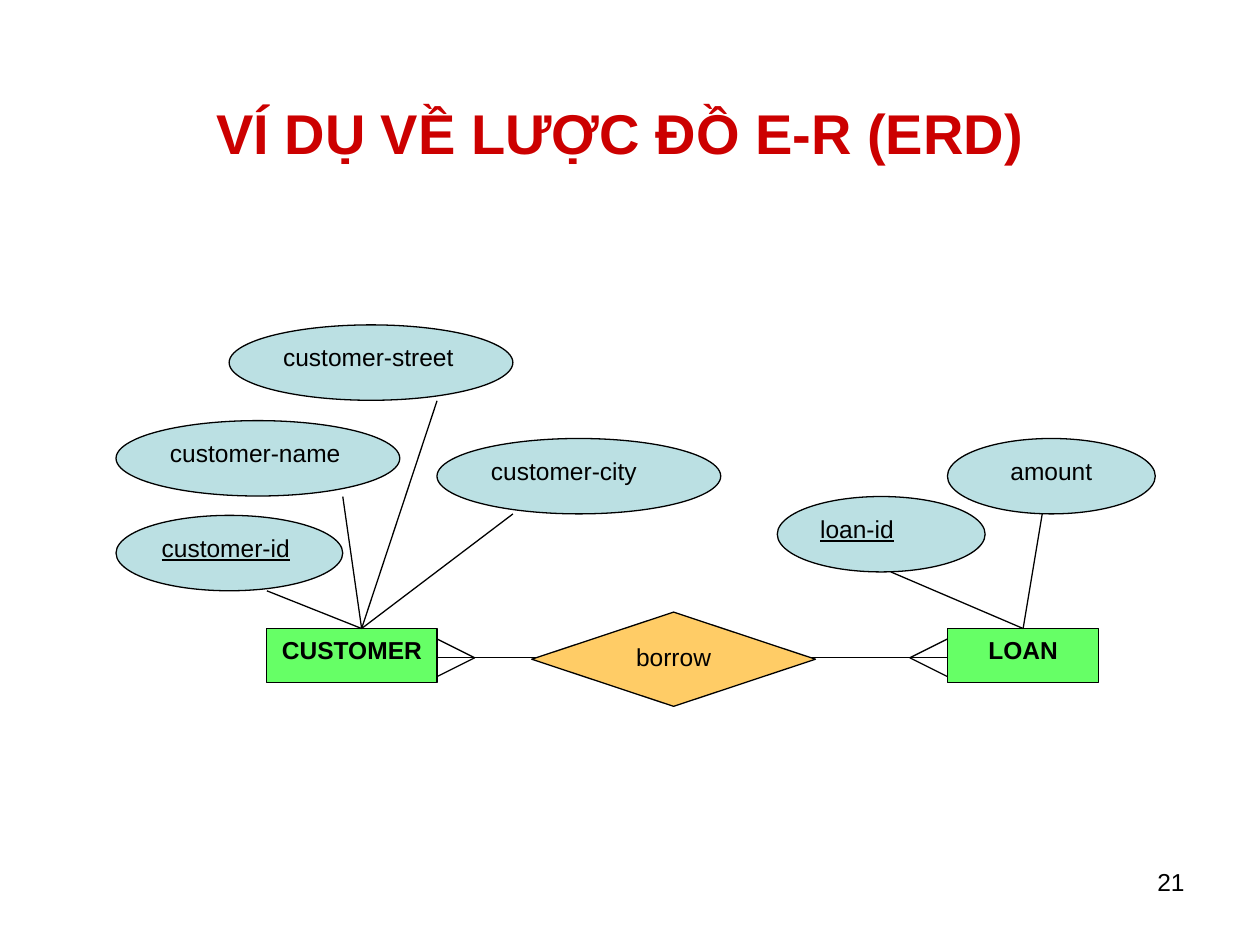
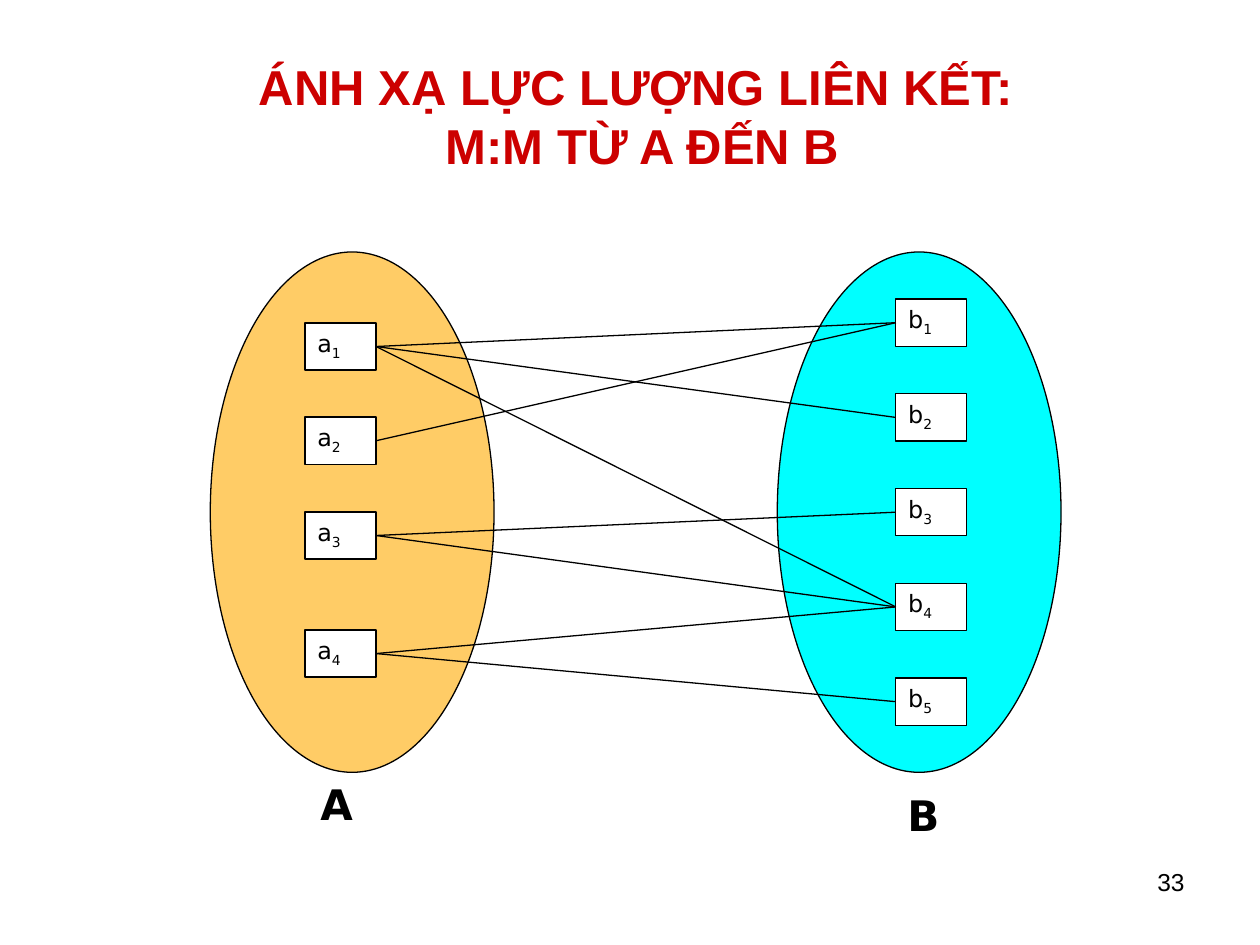
from lxml.etree import SubElement
from pptx import Presentation
from pptx.dml.color import RGBColor
from pptx.enum.shapes import MSO_CONNECTOR as CONN, MSO_SHAPE as SHAPE
from pptx.enum.text import MSO_ANCHOR as ANCHOR, PP_ALIGN as ALIGN
from pptx.oxml.ns import qn
from pptx.util import Cm, Pt

rgb = RGBColor.from_string
BLACK, RED, GREEN = "000000", "CC0000", "66FF66"
PALE_BLUE, ORANGE, CYAN, WHITE = "BBE0E3", "FFCC66", "00FFFF", "FFFFFF"
SANS, DEJAVU = "Arial", "DejaVu Sans"


def add_box(s, kind, x, y, w, h, runs=(), fill=None, size=14, font=SANS, color=BLACK,
            bold=False, underline=False, align=ALIGN.LEFT, anchor=ANCHOR.TOP,
            wrap=True, spacing=None):
    box = Cm(x), Cm(y), Cm(w), Cm(h)
    if kind is None:
        sp = s.shapes.add_textbox(*box)
    else:
        sp = s.shapes.add_shape(kind, *box)
        sp.shadow.inherit = False
        sp.fill.solid()
        sp.fill.fore_color.rgb = rgb(fill)
        sp.line.color.rgb = rgb(BLACK)
        sp.line.width = Pt(0.75)
    tf = sp.text_frame
    tf.word_wrap = wrap
    tf.vertical_anchor = anchor
    p = tf.paragraphs[0]
    p.alignment = align
    p.line_spacing = spacing
    for text, baseline in runs:
        if text == "\n":
            p.add_line_break()
            continue
        r = p.add_run()
        r.text = text
        r.font.name = font
        r.font.size = Pt(size)
        r.font.bold = bold
        r.font.underline = underline
        r.font.color.rgb = rgb(color)
        if baseline:
            r._r.get_or_add_rPr().set("baseline", str(baseline * 1000))
    return sp


def add_line(s, x1, y1, x2, y2):
    line = s.shapes.add_connector(CONN.STRAIGHT, Cm(x1), Cm(y1), Cm(x2), Cm(y2))
    line.line.color.rgb = rgb(BLACK)
    line.line.width = Pt(0.75)
    SubElement(line.element.spPr, qn("a:effectLst"))
    return line


prs = Presentation()
prs.slide_width, prs.slide_height = Cm(25.4), Cm(19.05)

slides = []
for title, size, box, number in [
    (["VÍ DỤ VỀ LƯỢC ĐỒ E-R (ERD)"], 32, (1.07, 1.07, 22.86, 3.18), "21"),
    (["ÁNH XẠ LỰC LƯỢNG LIÊN KẾT:", "\n", " M:M TỪ A ĐẾN B"], 28,
     (0.43, 0.64, 24.77, 3.38), "33"),
]:
    s = prs.slides.add_slide(prs.slide_layouts[6])
    add_box(s, None, *box, [(text, 0) for text in title], size=size, color=RED, bold=True,
            align=ALIGN.CENTER, anchor=ANCHOR.MIDDLE)
    add_box(s, None, 18.21, 17.35, 5.92, 1.32, [(number, 0)], align=ALIGN.RIGHT)
    slides.append(s)
erd, mapping = slides

ENTITY_TOP, AXIS = 12.67, 13.26
CUSTOMER_RIGHT, LOAN_LEFT = 8.81, 19.1
entities = {}
for name, x, w in [("CUSTOMER", 5.38, 3.43), ("LOAN", LOAN_LEFT, 3.05)]:
    entities[name] = add_box(erd, SHAPE.RECTANGLE, x, ENTITY_TOP, w, 1.09, [(name, 0)],
                             GREEN, bold=True, align=ALIGN.CENTER)

add_line(erd, CUSTOMER_RIGHT, AXIS, 11.1, AXIS)
add_line(erd, 15.67, AXIS, LOAN_LEFT, AXIS)
for edge, apex in [(CUSTOMER_RIGHT, CUSTOMER_RIGHT + 0.76), (LOAN_LEFT, LOAN_LEFT - 0.76)]:
    for offset in (-0.38, 0.38):
        add_line(erd, apex, AXIS, edge, AXIS + offset)

for name, x, y, w, is_key, align in [
    ("customer-id", 2.34, 10.39, 4.57, True, ALIGN.LEFT),
    ("customer-name", 2.34, 8.48, 5.72, False, ALIGN.LEFT),
    ("customer-street", 4.62, 6.55, 5.72, False, ALIGN.LEFT),
    ("customer-city", 8.81, 8.84, 5.72, False, ALIGN.LEFT),
    ("loan-id", 15.67, 10.01, 4.19, True, ALIGN.LEFT),
    ("amount", 19.1, 8.84, 4.19, False, ALIGN.CENTER),
]:
    add_box(erd, SHAPE.OVAL, x, y, w, 1.52, [(name, 0)], PALE_BLUE,
            underline=is_key, align=align)

for x, y in [(6.91, 10.01), (5.38, 11.91), (8.81, 8.08), (10.34, 10.36)]:
    add_line(erd, 7.29, ENTITY_TOP, x, y)
for x, y in [(17.96, 11.53), (21.01, 10.36)]:
    add_line(erd, 20.62, ENTITY_TOP, x, y).begin_connect(entities["LOAN"], 0)

add_box(erd, SHAPE.DIAMOND, 10.72, 12.34, 5.72, 1.9, [("borrow", 0)], ORANGE,
        align=ALIGN.CENTER)

ITEM_W, ITEM_H = 1.43, 0.95
A_LEFT, B_LEFT = 6.15, 18.06
a_tops = [6.51, 8.41, 10.32, 12.7]
b_tops = [6.03 + 1.91 * i for i in range(5)]
items = {}
for set_name, oval_x, fill, label_x, label_y, item_x, tops in [
    ("A", 4.24, ORANGE, 6.15, 15.67, A_LEFT, a_tops),
    ("B", 15.67, CYAN, 17.98, 15.88, B_LEFT, b_tops),
]:
    add_box(mapping, None, label_x, label_y, 1.27, 1.07, [(set_name, 0)], size=24,
            font=DEJAVU, bold=True, align=ALIGN.CENTER, anchor=ANCHOR.MIDDLE, wrap=False)
    add_box(mapping, SHAPE.OVAL, oval_x, 5.08, 5.72, 10.49, fill=fill)
    for i, top in enumerate(tops, 1):
        items[set_name, i] = add_box(
            mapping, SHAPE.RECTANGLE, item_x, top, ITEM_W, ITEM_H,
            [(set_name.lower(), 0), (str(i), -25)], WHITE, size=13.6, font=DEJAVU,
            spacing=0.9)

for a, b in [(1, 1), (1, 2), (1, 4), (2, 1), (3, 3), (3, 4), (4, 4), (4, 5)]:
    link = add_line(mapping, A_LEFT + ITEM_W, a_tops[a - 1] + ITEM_H / 2,
                    B_LEFT, b_tops[b - 1] + ITEM_H / 2)
    link.begin_connect(items["A", a], 3)
    link.end_connect(items["B", b], 1)

prs.save("out.pptx")
